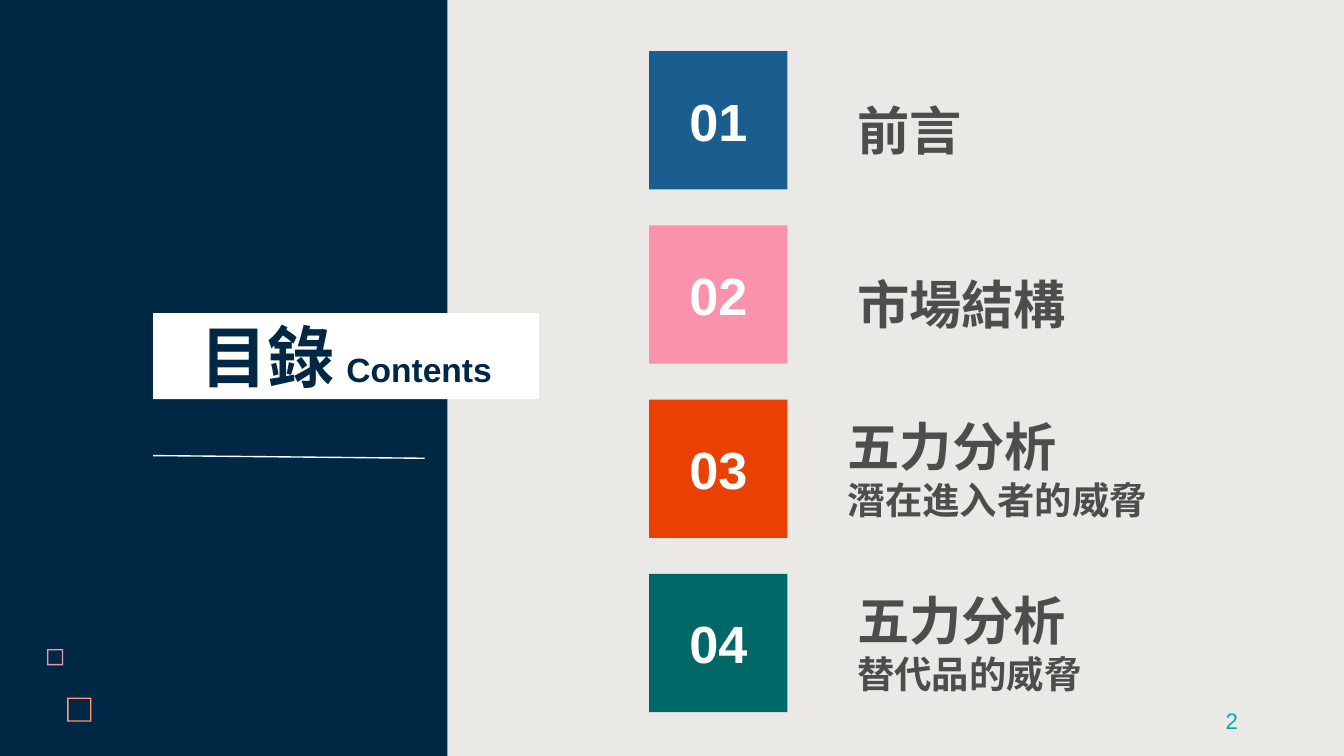
from dataclasses import dataclass

from lxml.etree import SubElement
from pptx import Presentation
from pptx.dml.color import RGBColor
from pptx.enum.shapes import MSO_CONNECTOR, MSO_SHAPE
from pptx.enum.text import MSO_ANCHOR as Anchor, PP_ALIGN as Align
from pptx.oxml.ns import qn
from pptx.util import Inches, Pt


@dataclass(frozen=True)
class Theme:
    navy: str = "002845"
    panel: str = "EAE9E6"
    white: str = "FFFFFF"
    topic: str = "4D4D4D"
    page: str = "00AEAC"
    rose: str = "E898AC"
    coral: str = "FF9973"
    badges: tuple = ("1A5E8F", "FA92AC", "E94104", "006866")
    latin: str = "Arial"
    cjk: str = "Noto Sans CJK SC"
    title_size: int = 36
    heading_size: int = 28
    detail_size: int = 20
    subtitle_size: int = 18
    page_size: int = 12


THEME = Theme()
SLIDE_WIDTH = 10
SLIDE_HEIGHT = SLIDE_WIDTH * 9 / 16
TOPICS = [
    (["前言"], 6.28),
    (["市場結構"], 6.28),
    (["五力分析", "潛在進入者的威脅"], 6.21),
    (["五力分析", "替代品的威脅"], 6.28),
]
BADGE_SIZE = 1.03
BADGE_LEFT, BADGE_TOP, LAST_BADGE_TOP = 4.83, 0.38, 4.27
BADGE_STEP = (LAST_BADGE_TOP - BADGE_TOP) / (len(TOPICS) - 1)


def rgb(value):
    return RGBColor.from_string(value)


def add_run(paragraph, text, *, size, color, bold=True, font=THEME.latin):
    run = paragraph.add_run()
    run.text = text
    run.font.size = Pt(size)
    run.font.bold = bold
    run.font.name = font
    run.font.color.rgb = rgb(color)
    SubElement(run.font._element, qn("a:ea"), typeface=THEME.cjk)


def write(shape, lines, *, align=Align.LEFT, anchor=Anchor.TOP, leading=None, **run_format):
    """Fill a shape with lines, each a list of (text, size) pieces."""
    frame = shape.text_frame
    frame.word_wrap = True
    frame.vertical_anchor = anchor
    for index, pieces in enumerate(lines):
        paragraph = frame.paragraphs[0] if index == 0 else frame.add_paragraph()
        paragraph.alignment = align
        if leading:
            paragraph.line_spacing = Pt(round(leading * pieces[0][1], 1))
        for text, size in pieces:
            add_run(paragraph, text, size=size, **run_format)


def add_block(slide, left, top, width, height, color):
    block = slide.shapes.add_shape(
        MSO_SHAPE.RECTANGLE, Inches(left), Inches(top), Inches(width), Inches(height))
    block.shadow.inherit = False
    block.fill.solid()
    block.fill.fore_color.rgb = rgb(color)
    block.line.fill.background()
    return block


def add_label(slide, left, top, width, height):
    return slide.shapes.add_textbox(
        Inches(left), Inches(top), Inches(width), Inches(height))


def add_hollow_square(slide, left, top, size, color, rim=0.01):
    x, y, far_x, far_y = (Inches(v) for v in (left, top, left + size, top + size))
    inset = Inches(rim)
    outline = slide.shapes.build_freeform(x, y, scale=1.0)
    outline.add_line_segments([(x, far_y), (far_x, far_y), (far_x, y)], close=True)
    x, y, far_x, far_y = x + inset, y + inset, far_x - inset, far_y - inset
    outline.move_to(x, y)
    outline.add_line_segments([(far_x, y), (far_x, far_y), (x, far_y)], close=True)
    square = outline.convert_to_shape()
    square.shadow.inherit = False
    square.fill.solid()
    square.fill.fore_color.rgb = rgb(color)
    square.line.fill.background()


def add_rule(slide, start, end, color):
    rule = slide.shapes.add_connector(
        MSO_CONNECTOR.STRAIGHT, *(Inches(v) for v in start + end))
    rule.line.color.rgb = rgb(color)
    rule.line.width = Pt(0.75)
    SubElement(rule._element.spPr, qn("a:effectLst"))


def add_topic(slide, index, lines, label_left):
    top = BADGE_TOP + index * BADGE_STEP
    badge = add_block(slide, BADGE_LEFT, top, BADGE_SIZE, BADGE_SIZE, THEME.badges[index])
    write(badge, [[(f"{index + 1:02d}", THEME.heading_size)]],
          align=Align.CENTER, anchor=Anchor.MIDDLE, color=THEME.white)
    offset, height = (0.3, 0.57) if len(lines) == 1 else (0.06, 0.91)
    label = add_label(slide, label_left, top + offset, 3.5, height)
    sizes = (THEME.heading_size, THEME.detail_size)
    write(label, [[piece] for piece in zip(lines, sizes)],
          leading=1.2, color=THEME.topic, font=THEME.cjk)


def main():
    deck = Presentation()
    deck.slide_width, deck.slide_height = Inches(SLIDE_WIDTH), Inches(SLIDE_HEIGHT)
    slide = deck.slides.add_slide(deck.slide_layouts[6])

    # Background and decoration
    slide.background.fill.solid()
    slide.background.fill.fore_color.rgb = rgb(THEME.navy)
    add_hollow_square(slide, 0.35, 4.83, 0.12, THEME.rose)
    add_hollow_square(slide, 0.5, 5.19, 0.18, THEME.coral)
    add_block(slide, 3.33, 0, 6.67, SLIDE_HEIGHT, THEME.panel)

    # Page number
    write(add_label(slide, 7.06, 5.21, 2.25, 0.3), [[("2", THEME.page_size)]],
          align=Align.RIGHT, anchor=Anchor.MIDDLE, color=THEME.page, bold=False)

    # Title plate and rule
    plate = add_block(slide, 1.14, 2.33, 2.87, 0.64, THEME.white)
    write(plate, [[("目錄", THEME.title_size), (" ", THEME.heading_size),
                   ("Contents", THEME.subtitle_size)]],
          align=Align.CENTER, anchor=Anchor.MIDDLE, color=THEME.navy)
    add_rule(slide, (1.14, 3.39), (3.16, 3.41), THEME.white)

    # Numbered topics
    for index, (lines, label_left) in enumerate(TOPICS):
        add_topic(slide, index, lines, label_left)

    deck.save("out.pptx")


if __name__ == "__main__":
    main()
